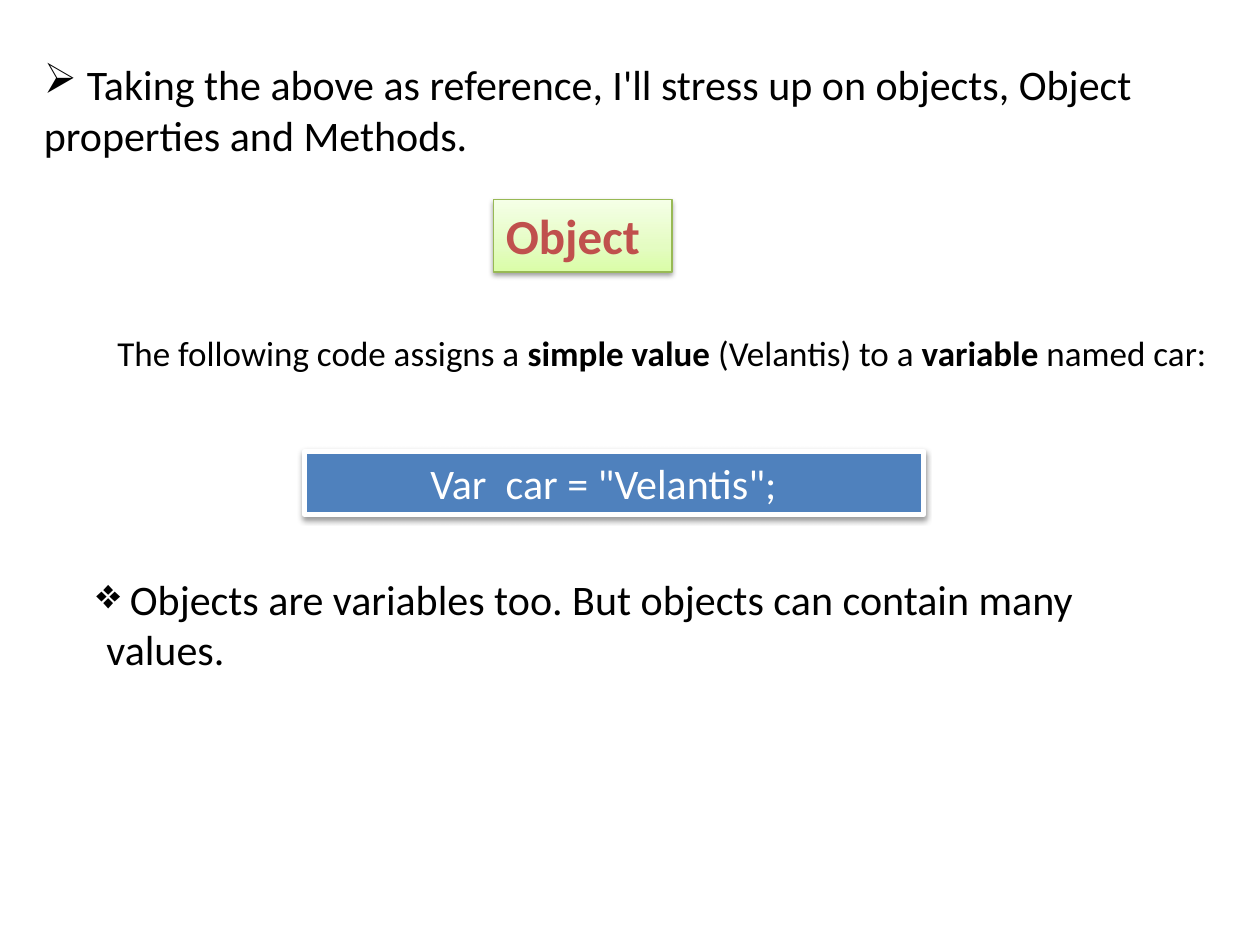
from dataclasses import dataclass
from typing import Optional

from lxml.etree import SubElement
from pptx import Presentation
from pptx.dml.color import RGBColor
from pptx.enum.shapes import MSO_SHAPE
from pptx.enum.text import MSO_ANCHOR, PP_ALIGN
from pptx.oxml import parse_xml
from pptx.oxml.ns import qn
from pptx.util import Inches, Pt

WIDE, HIGH = 10, 7.5
COLS, ROWS = 120, 90  # grid of twelve cells to the inch
NS = 'xmlns:a="http://schemas.openxmlformats.org/drawingml/2006/main"'
INK = {"text": "000000", "head": "C0504D", "code": "FFFFFF", "bar": "4F81BD",
       "edge": "98B955", "rim": "FFFFFF", "shade": "000000"}
GREEN = {0: "DAFDA7", 35: "E4FCC2", 100: "F5FFE7"}


@dataclass
class Spot:
    col: float
    row: float
    cols: float
    rows: float

    def box(self) -> tuple:
        dx, dy = Inches(WIDE) / COLS, Inches(HIGH) / ROWS
        return (int(self.col * dx), int(self.row * dy),
                int(self.cols * dx), int(self.rows * dy))


@dataclass
class Note:
    spot: Spot
    text: str
    size: float = 24
    mark: Optional[str] = None
    hang: float = 0


def write(shape, text: str, size: float = 24, color: str = "text",
          bold: bool = False, mark: Optional[str] = None,
          hang: float = 0, left: float = 0.1) -> None:
    """Fill a shape with text; parts between asterisks switch weight."""
    frame = shape.text_frame
    frame.word_wrap = True
    frame.margin_left = Inches(left)
    para = frame.paragraphs[0]
    para.alignment = PP_ALIGN.LEFT
    if mark:
        props = para._p.get_or_add_pPr()
        props.set("marL", str(Inches(hang)))
        props.set("indent", str(-Inches(hang)))
        SubElement(props, qn("a:buChar")).set("char", mark)
    for i, part in enumerate(text.split("*")):
        run = para.add_run()
        run.text = part
        font = run.font
        font.name, font.size = "Calibri", Pt(size)
        font.bold = bold or i % 2 == 1
        font.color.rgb = RGBColor.from_string(INK[color])


def panel(slide, spot: Spot, line: str, width: float):
    """Add a rectangle with an outline and a soft drop shadow."""
    shape = slide.shapes.add_shape(MSO_SHAPE.RECTANGLE, *spot.box())
    shape.line.color.rgb = RGBColor.from_string(INK[line])
    shape.line.width = Pt(width)
    shape.text_frame.vertical_anchor = MSO_ANCHOR.TOP
    shape.shadow.inherit = False
    glow = shape._element.spPr.find(qn("a:effectLst"))
    glow.append(parse_xml(
        f'<a:outerShdw {NS} blurRad="{Pt(3.1)}" dist="{Pt(1.6)}" '
        f'dir="5400000" rotWithShape="0"><a:srgbClr val="{INK["shade"]}">'
        '<a:alpha val="38000"/></a:srgbClr></a:outerShdw>'))
    return shape


def blend(shape, stops: dict) -> None:
    """Give a shape an upward gradient with the given stops."""
    shape.fill.gradient()
    old = shape._element.spPr.find(qn("a:gradFill"))
    body = "".join(f'<a:gs pos="{pos * 1000}"><a:srgbClr val="{hue}"/></a:gs>'
                   for pos, hue in stops.items())
    old.getparent().replace(old, parse_xml(
        f'<a:gradFill {NS} rotWithShape="1"><a:gsLst>{body}</a:gsLst>'
        '<a:lin ang="16200000" scaled="0"/></a:gradFill>'))


NOTES = [
    Note(Spot(3, 5, 110, 10.9), " Taking the above as reference, I'll stress "
         "up on objects, Object properties and Methods.", mark="\u27a2"),
    Note(Spot(10, 31, 110, 5.3), "The following code assigns a\u00a0*simple "
         "value*\u00a0(Velantis) to a\u00a0*variable*\u00a0named car:", 20),
    Note(Spot(8, 54, 107, 10.9), " Objects are variables too. But objects can "
         "contain many values.", mark="\u2756", hang=0.08),
]

deck = Presentation()
deck.slide_width, deck.slide_height = Inches(WIDE), Inches(HIGH)
slide = deck.slides.add_slide(deck.slide_layouts[6])

# Running text
for note in NOTES:
    area = slide.shapes.add_textbox(*note.spot.box())
    write(area, note.text, note.size, mark=note.mark, hang=note.hang)

# Heading tag
tag = panel(slide, Spot(47, 19, 17, 6.9), "edge", 0.75)
blend(tag, GREEN)
write(tag, "Object", 28, "head", bold=True)

# Code bar
bar = panel(slide, Spot(29, 43, 59, 6), "rim", 3)
bar.fill.solid()
bar.fill.fore_color.rgb = RGBColor.from_string(INK["bar"])
write(bar, 'Var  car = "Velantis";', color="code", left=1)

deck.save("out.pptx")
